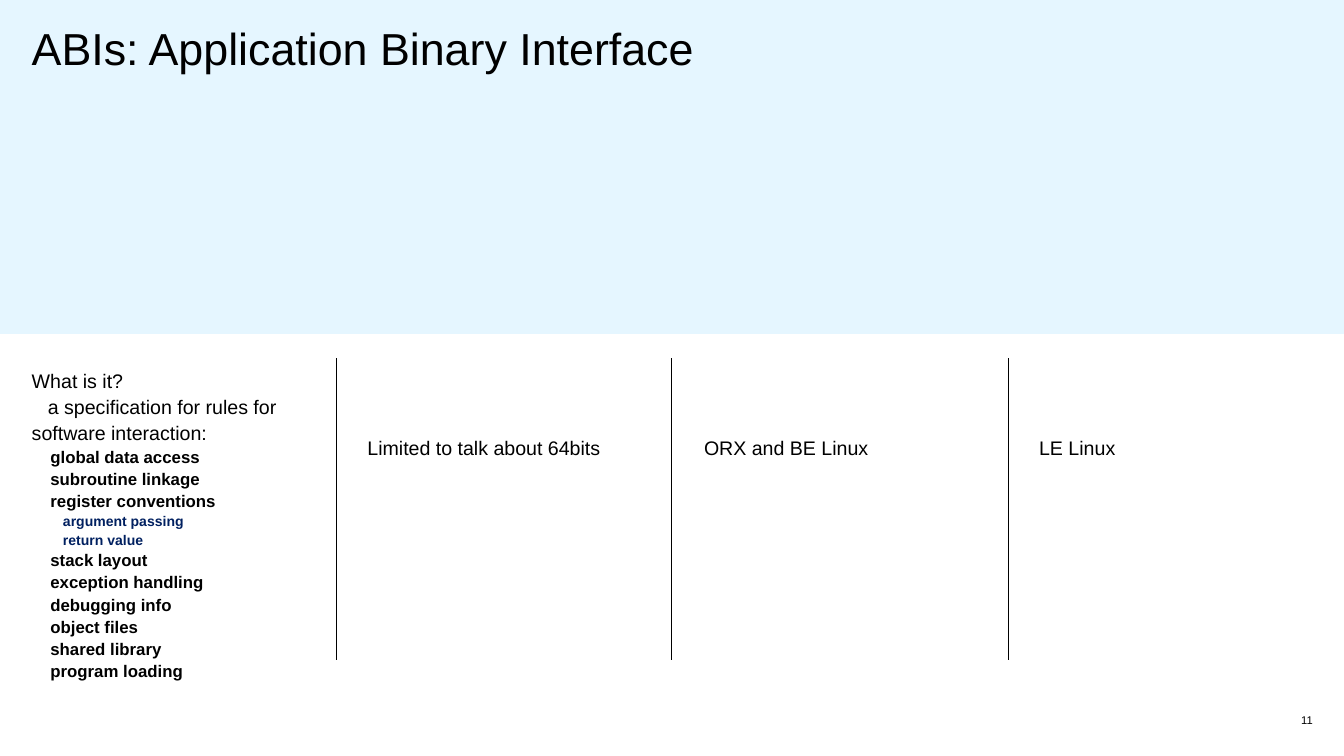
import pptx
import pptx.dml.color
import pptx.enum.shapes
import pptx.enum.text
import pptx.oxml.ns
import pptx.util
from pptx.util import Inches
import lxml.etree


def color(hex_string):
    return pptx.dml.color.RGBColor.from_string(hex_string)


def write(frame, text, size=28, bold=False, hex_color="000000", indent=0,
          spacing=1.1, align=pptx.enum.text.PP_ALIGN.LEFT):
    paragraph = frame.paragraphs[0]
    if paragraph.runs:
        paragraph = frame.add_paragraph()
    paragraph.alignment = align
    paragraph.line_spacing = spacing
    paragraph.space_before = pptx.util.Pt(0)
    properties = paragraph._p.get_or_add_pPr()
    properties.set("marL", "0")
    properties.set("indent", str(Inches(indent)))
    run = paragraph.add_run()
    run.text = text
    run.font.name = "Arial"
    run.font.size = pptx.util.Pt(size)
    run.font.bold = bold
    run.font.color.rgb = color(hex_color)


presentation = pptx.Presentation()
presentation.slide_width = Inches(26.67)
presentation.slide_height = Inches(15)
slide = presentation.slides.add_slide(presentation.slide_layouts[5])
shapes = slide.shapes

band = shapes.add_shape(pptx.enum.shapes.MSO_SHAPE.RECTANGLE,
                        Inches(0), Inches(-0.02), Inches(26.67), Inches(6.63))
band.shadow.inherit = False
band.fill.solid()
band.fill.fore_color.rgb = color("E5F6FF")
band.line.color.rgb = color("E5F6FF")
band.line.width = pptx.util.Pt(1.5)
shapes._spTree.insert(2, band._element)

title = shapes.title
title.left, title.top = Inches(0.63), Inches(0.42)
title.width, title.height = Inches(14.8), Inches(5)
frame = title.text_frame
frame.margin_left = frame.margin_top = frame.margin_bottom = 0
frame.margin_right = Inches(0.5)
frame.vertical_anchor = pptx.enum.text.MSO_ANCHOR.TOP
frame.auto_size = pptx.enum.text.MSO_AUTO_SIZE.NONE
frame.word_wrap = True
write(frame, "ABIs: Application Binary Interface", size=64, spacing=1.0)

section = {"size": 24, "bold": True, "indent": 0.37}
detail = {"size": 20, "bold": True, "indent": 0.62, "hex_color": "002060"}
definition = [
    ("What is it?", {}),
    ("a specification for rules for software interaction:", {"indent": 0.32}),
    ("global data access", section),
    ("subroutine linkage", section),
    ("register conventions", section),
    ("argument passing", detail),
    ("return value", detail),
    ("stack layout", section),
    ("exception handling", section),
    ("debugging info", section),
    ("object files", section),
    ("shared library", section),
    ("program loading", section),
]
columns = [
    (0.63, 6.46, 0, definition),
    (7.29, 5.85, 2.14, [("Limited to talk about 64bits", {})]),
    (13.97, 5.85, 2.14, [("ORX and BE Linux", {})]),
    (20.62, 5.85, 2.14, [("LE Linux", {})]),
]
for left, height, top_margin, lines in columns:
    column = shapes.add_textbox(Inches(left), Inches(7.28), Inches(5.41), Inches(height))
    frame = column.text_frame
    frame.word_wrap = True
    frame.margin_left = frame.margin_right = frame.margin_bottom = 0
    frame.margin_top = Inches(top_margin)
    for text, text_format in lines:
        write(frame, text, **text_format)

page_number = shapes.add_textbox(Inches(25.75), Inches(14.15), Inches(0.3), Inches(0.27))
frame = page_number.text_frame
frame.margin_left = frame.margin_right = frame.margin_top = frame.margin_bottom = 0
frame.vertical_anchor = pptx.enum.text.MSO_ANCHOR.MIDDLE
frame.word_wrap = False
write(frame, "11", size=16, spacing=1.0, align=pptx.enum.text.PP_ALIGN.RIGHT)

for x in (6.67, 13.33, 20):
    divider = shapes.add_connector(pptx.enum.shapes.MSO_CONNECTOR.STRAIGHT,
                                   Inches(x), Inches(7.11), Inches(x), Inches(13.1))
    divider.line.color.rgb = color("000000")
    divider.line.width = pptx.util.Pt(1)
    lxml.etree.SubElement(divider._element.spPr, pptx.oxml.ns.qn("a:effectLst"))

presentation.save("out.pptx")
